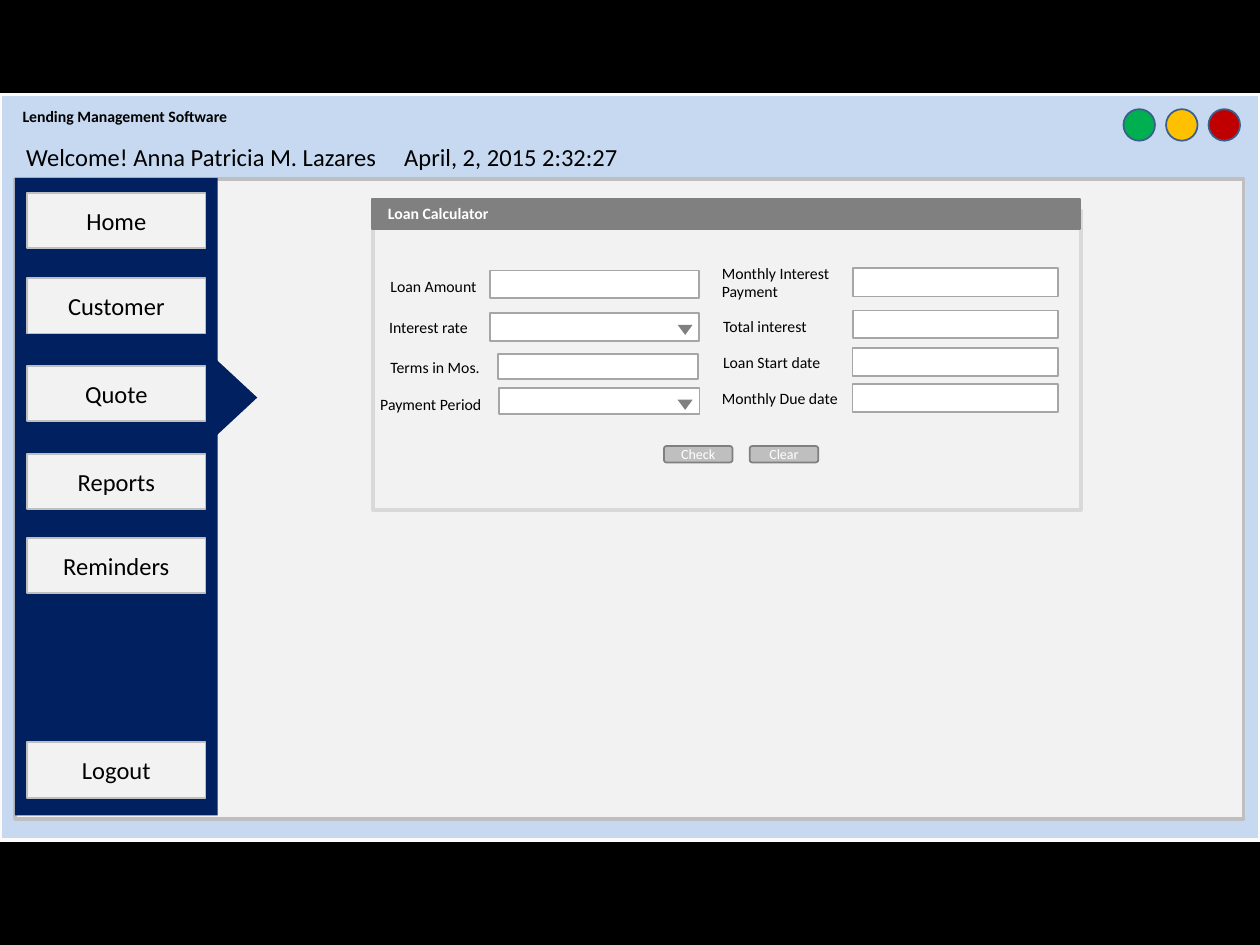
from dataclasses import dataclass
from typing import Optional

import pptx
import pptx.dml.color
import pptx.enum.shapes
import pptx.enum.text
import pptx.util

Pt = pptx.util.Pt
Kind = pptx.enum.shapes.MSO_SHAPE
Align = pptx.enum.text.PP_ALIGN
Anchor = pptx.enum.text.MSO_ANCHOR
AutoSize = pptx.enum.text.MSO_AUTO_SIZE


@dataclass(frozen=True)
class Theme:
    font: str = "Calibri"
    small: float = 8
    label: float = 9
    large: float = 14
    black: str = "000000"
    white: str = "FFFFFF"
    window: str = "C6D9F1"
    window_edge: str = "FCFBF9"
    panel: str = "F2F2F2"
    panel_edge: str = "D9D9D9"
    silver: str = "BFBFBF"
    field_edge: str = "A6A6A6"
    gray: str = "808080"
    navy: str = "002060"
    green: str = "00B050"
    amber: str = "FFC000"
    red: str = "C00000"
    light_edge: str = "3A5F8C"


THEME = Theme()


@dataclass(frozen=True)
class Box:
    left: float
    top: float
    width: float
    height: float

    def lengths(self) -> tuple:
        return Pt(self.left), Pt(self.top), Pt(self.width), Pt(self.height)


@dataclass(frozen=True)
class FormRow:
    label: str
    label_box: Box
    field_box: Box
    dropdown: bool = False


@dataclass(frozen=True)
class NavigationItem:
    text: str
    top: float


FORM_ROWS = [
    FormRow("Loan Amount", Box(216, 154.8, 64.1, 18), Box(280.1, 154.6, 119.5, 15.8)),
    FormRow("Interest rate", Box(215.3, 178.1, 60.5, 18), Box(280.1, 179, 119.5, 15.8), True),
    FormRow("Terms in Mos.", Box(216, 200.9, 67, 18), Box(284.6, 202.2, 114.5, 14.6)),
    FormRow("Payment Period", Box(210.2, 222, 73.4, 18), Box(285.2, 221.8, 114.5, 14.6), True),
    FormRow("Monthly Interest\nPayment", Box(405.4, 146.9, 79.2, 29), Box(487.4, 153.2, 117.4, 16.2)),
    FormRow("Total interest", Box(406.1, 177.3, 64.1, 18), Box(487.4, 177.4, 117.4, 15.8)),
    FormRow("Loan Start date", Box(406.1, 198, 70.6, 18), Box(487.2, 198.8, 117.4, 16.2)),
    FormRow("Monthly Due date", Box(405.4, 218.4, 81.4, 18), Box(487.2, 219.5, 117.4, 15.8)),
]

NAVIGATION = [
    NavigationItem("Home", 110.2),
    NavigationItem("Customer", 159),
    NavigationItem("Quote", 209),
    NavigationItem("Reports", 259.4),
    NavigationItem("Reminders", 307.4),
    NavigationItem("Logout", 424.2),
]


def rgb(color: str) -> pptx.dml.color.RGBColor:
    return pptx.dml.color.RGBColor.from_string(color)


def write_text(shape, text: str, *, size: float = THEME.label, color: str = THEME.black,
               bold: bool = False, align=Align.LEFT, anchor=Anchor.TOP, wrap: bool = True) -> None:
    """Put one paragraph per line of text into the shape."""
    frame = shape.text_frame
    frame.word_wrap = wrap
    frame.vertical_anchor = anchor
    for index, line in enumerate(text.split("\n")):
        paragraph = frame.add_paragraph() if index else frame.paragraphs[0]
        paragraph.alignment = align
        run = paragraph.add_run()
        run.text = line
        run.font.name = THEME.font
        run.font.size = Pt(size)
        run.font.bold = bold
        run.font.color.rgb = rgb(color)


def add_shape(slide, kind, box: Box, fill: str, line: Optional[str] = None,
              line_width: float = 1, rotation: float = 0):
    shape = slide.shapes.add_shape(kind, *box.lengths())
    shape.shadow.inherit = False
    shape.rotation = rotation
    shape.fill.solid()
    shape.fill.fore_color.rgb = rgb(fill)
    if line:
        shape.line.color.rgb = rgb(line)
        shape.line.width = Pt(line_width)
    else:
        shape.line.fill.background()
    return shape


def add_label(slide, box: Box, text: str, *, wrap: bool = False, **text_format) -> None:
    shape = slide.shapes.add_textbox(*box.lengths())
    write_text(shape, text, wrap=wrap, **text_format)
    shape.text_frame.auto_size = AutoSize.SHAPE_TO_FIT_TEXT


def add_button(slide, kind, box: Box, text: str, fill: str, line: str, **text_format) -> None:
    shape = add_shape(slide, kind, box, fill, line)
    write_text(shape, text, align=Align.CENTER, anchor=Anchor.MIDDLE, **text_format)


def add_form_row(slide, row: FormRow) -> None:
    add_label(slide, row.label_box, row.label)
    add_shape(slide, Kind.RECTANGLE, row.field_box, THEME.white, THEME.field_edge)
    if row.dropdown:
        arrow_box = Box(387.2, row.field_box.top + 6.6, 8.6, 5.8)
        add_shape(slide, Kind.ISOSCELES_TRIANGLE, arrow_box, THEME.gray, rotation=180)


def add_window(slide) -> None:
    add_shape(slide, Kind.RECTANGLE, Box(0, 54, 720, 426), THEME.window, THEME.window_edge, 2)
    for index, color in enumerate((THEME.green, THEME.amber, THEME.red)):
        light_box = Box(642 + 24.3 * index, 62.4, 18, 18)
        add_shape(slide, Kind.OVAL, light_box, color, THEME.light_edge)
    add_label(slide, Box(5.8, 57.6, 133.9, 18), "Lending Management Software", bold=True)
    add_label(slide, Box(7.9, 77.8, 378, 24.5),
              "Welcome! Anna Patricia M. Lazares\tApril, 2, 2015 2:32:27",
              size=THEME.large, wrap=True)
    add_shape(slide, Kind.RECTANGLE, Box(8.6, 102.2, 702, 365.8), THEME.panel, THEME.silver, 2)


def add_calculator(slide) -> None:
    add_shape(slide, Kind.RECTANGLE, Box(213.1, 120.2, 404.6, 171.4), THEME.panel, THEME.panel_edge, 2)
    add_shape(slide, Kind.RECTANGLE, Box(212.4, 113.8, 404.6, 17.3), THEME.gray, THEME.gray)
    add_label(slide, Box(214.6, 113, 73.4, 18), "Loan Calculator", color=THEME.white, bold=True)
    for row in FORM_ROWS:
        add_form_row(slide, row)
    for text, left in (("Check", 379.4), ("Clear", 428.4)):
        add_button(slide, Kind.ROUNDED_RECTANGLE, Box(left, 254.9, 39.2, 9.4), text,
                   THEME.silver, THEME.gray, size=THEME.small, color=THEME.white)


def add_navigation(slide) -> None:
    add_shape(slide, Kind.RECTANGLE, Box(8.5, 101.7, 115.9, 364.3), THEME.navy)
    add_shape(slide, Kind.ISOSCELES_TRIANGLE, Box(111, 214.6, 46.8, 25.2), THEME.navy, rotation=90)
    for item in NAVIGATION:
        add_button(slide, Kind.RECTANGLE, Box(15.6, item.top, 101.8, 31.7), item.text,
                   THEME.panel, THEME.silver, size=THEME.large)


def main() -> None:
    presentation = pptx.Presentation()
    presentation.slide_width = Pt(720)
    presentation.slide_height = Pt(540)
    slide = presentation.slides.add_slide(presentation.slide_layouts[6])
    slide.background.fill.solid()
    slide.background.fill.fore_color.rgb = rgb(THEME.black)
    add_window(slide)
    add_calculator(slide)
    add_navigation(slide)
    presentation.save("out.pptx")


if __name__ == "__main__":
    main()
